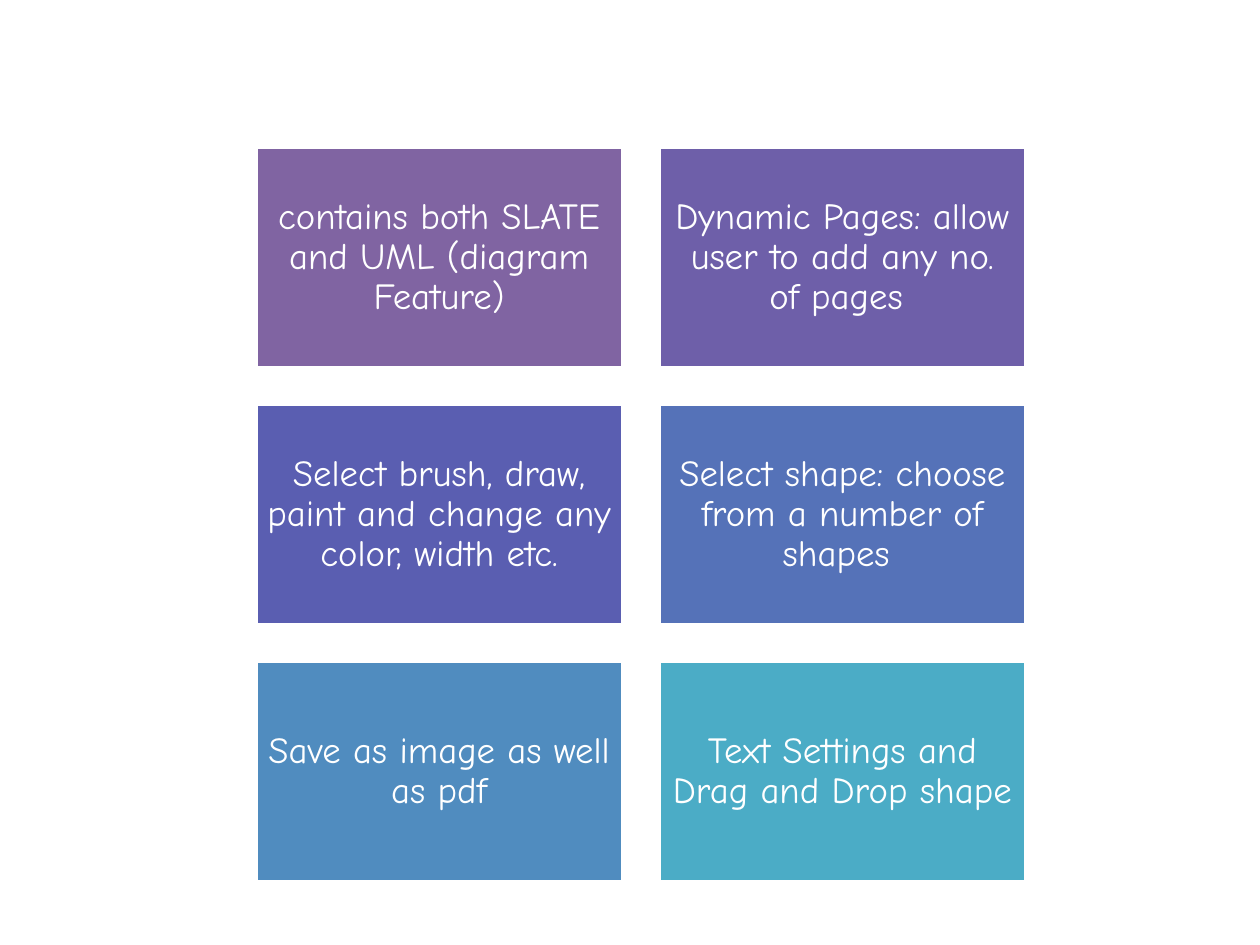
from pptx import Presentation
from pptx.dml.color import RGBColor
from pptx.enum.shapes import MSO_SHAPE
from pptx.enum.text import MSO_ANCHOR, PP_ALIGN
from pptx.util import Inches, Pt

RECTANGLE = MSO_SHAPE.RECTANGLE
MIDDLE = MSO_ANCHOR.MIDDLE
CENTER = PP_ALIGN.CENTER

WHITE = RGBColor(0xFF, 0xFF, 0xFF)
PLUM = RGBColor(0x80, 0x64, 0xA2)
PURPLE = RGBColor(0x6E, 0x5F, 0xA9)
INDIGO = RGBColor(0x5A, 0x5E, 0xB1)
BLUE = RGBColor(0x55, 0x72, 0xB8)
SKY = RGBColor(0x50, 0x8C, 0xBF)
TEAL = RGBColor(0x4B, 0xAC, 0xC6)

FONT = "Comic Neue"

# Card grid, in inches
COLUMNS = 2
LEFT, TOP = 2.03, 1.17
CARD_WIDTH, CARD_HEIGHT = 2.91, 1.75
GAP = 0.29
INSET = Inches(0.09)

FEATURES = [
    ("contains both SLATE and UML (diagram Feature)", PLUM),
    ("Dynamic Pages: allow user to add any no. of pages ", PURPLE),
    ("Select brush, draw, paint and change any color, width etc.", INDIGO),
    ("Select shape: choose from a number of shapes ", BLUE),
    ("Save as image as well as pdf", SKY),
    ("Text Settings and Drag and Drop shape", TEAL),
]

presentation = Presentation()
presentation.slide_width = Inches(10)
presentation.slide_height = Inches(7.5)
slide = presentation.slides.add_slide(presentation.slide_layouts[6])

# Feature cards, filled row by row
for index, (feature, color) in enumerate(FEATURES):
    row, column = divmod(index, COLUMNS)
    card = slide.shapes.add_shape(
        RECTANGLE,
        Inches(LEFT + column * (CARD_WIDTH + GAP)),
        Inches(TOP + row * (CARD_HEIGHT + GAP)),
        Inches(CARD_WIDTH),
        Inches(CARD_HEIGHT),
    )
    card.shadow.inherit = False
    card.fill.solid()
    card.fill.fore_color.rgb = color
    card.line.color.rgb = WHITE
    card.line.width = Pt(2)

    # Centred label
    frame = card.text_frame
    frame.word_wrap = True
    frame.vertical_anchor = MIDDLE
    frame.margin_left = frame.margin_right = INSET
    frame.margin_top = frame.margin_bottom = INSET
    paragraph = frame.paragraphs[0]
    paragraph.alignment = CENTER
    paragraph.line_spacing = 0.9
    run = paragraph.add_run()
    run.text = feature
    run.font.name = FONT
    run.font.size = Pt(21)
    run.font.color.rgb = WHITE

presentation.save("out.pptx")
